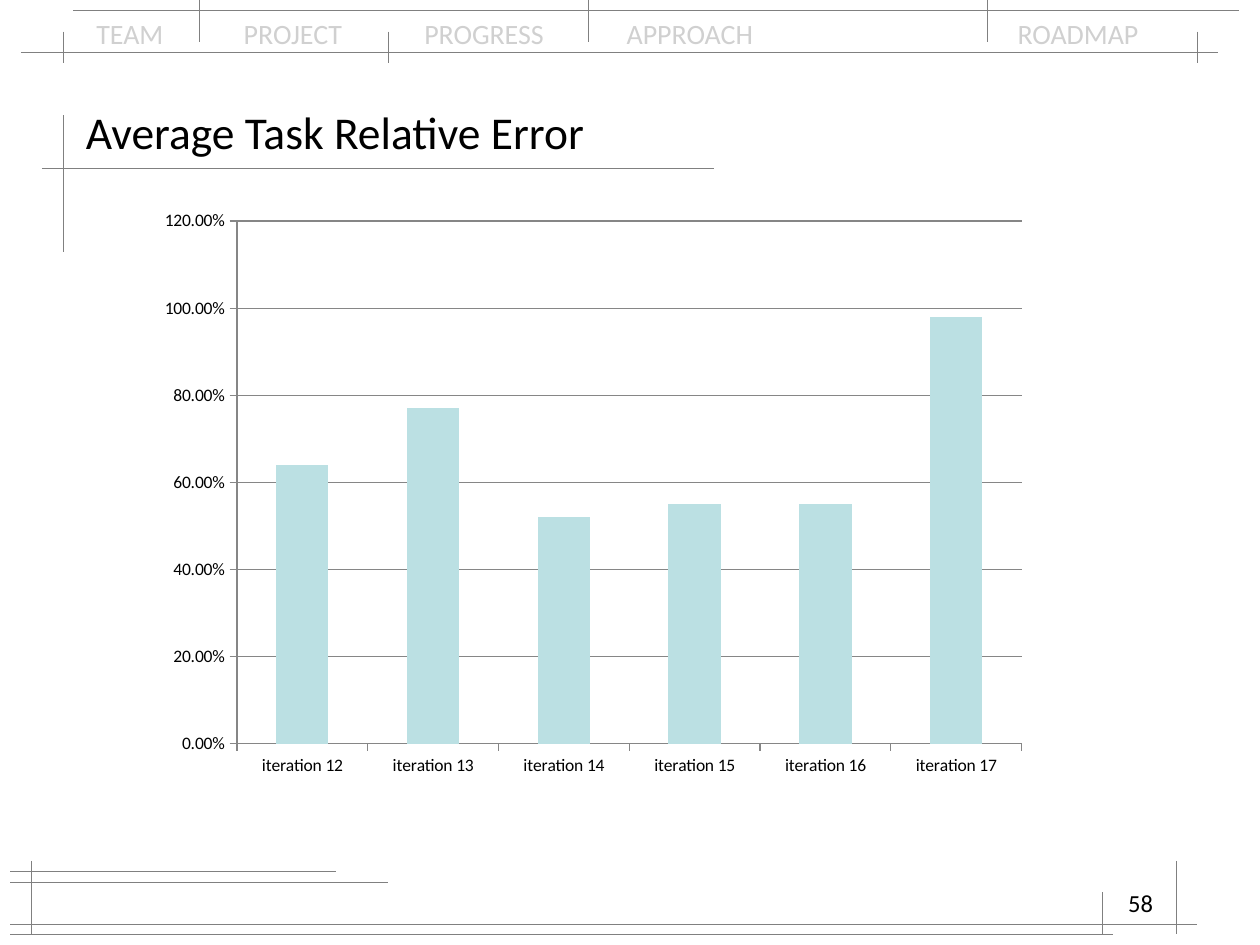
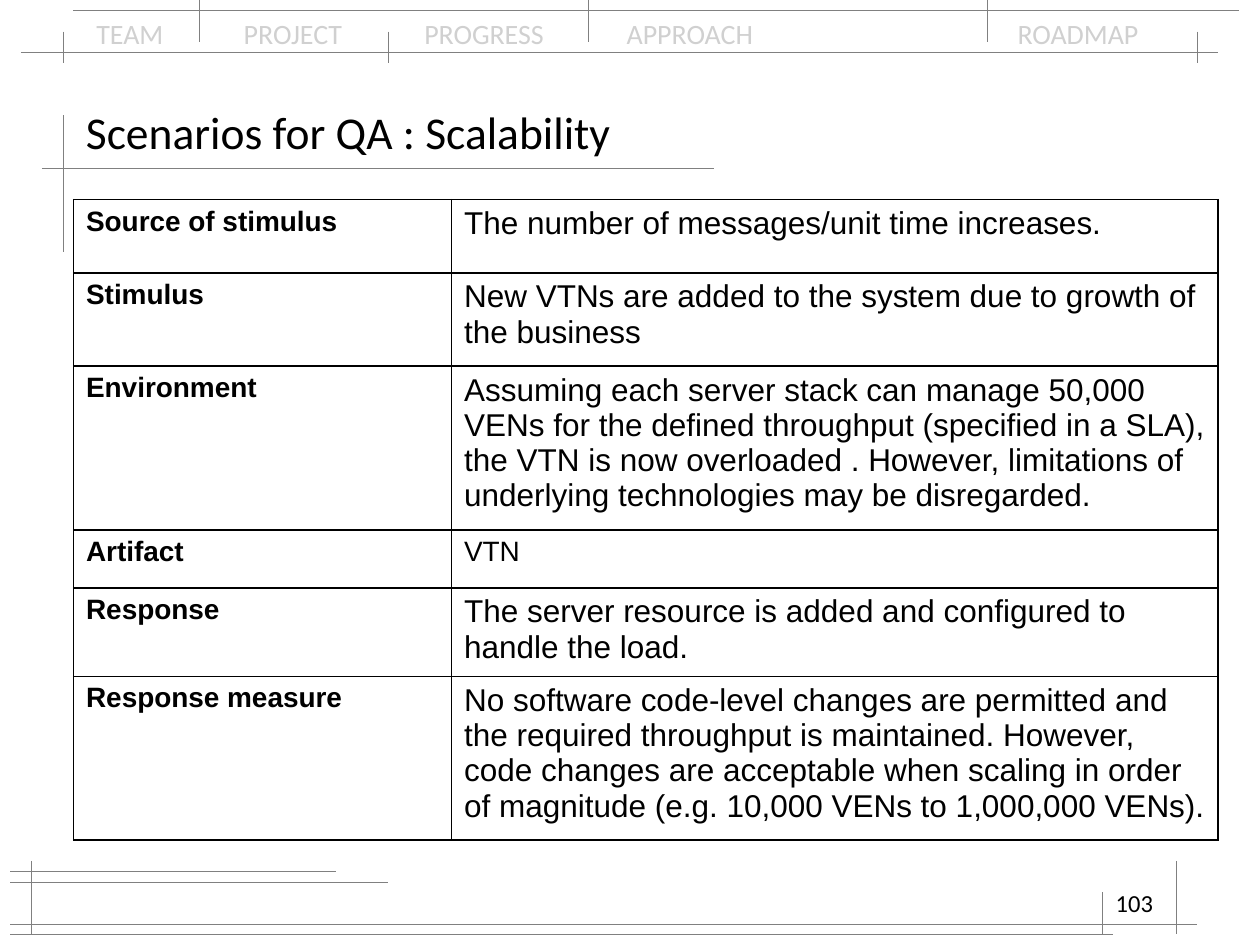
from dataclasses import dataclass

from lxml import etree
from pptx import Presentation
from pptx.chart.data import CategoryChartData
from pptx.dml.color import RGBColor
from pptx.enum.chart import XL_CHART_TYPE, XL_TICK_MARK
from pptx.enum.shapes import MSO_CONNECTOR
from pptx.enum.text import MSO_ANCHOR, PP_ALIGN
from pptx.oxml.ns import qn
from pptx.util import Cm, Pt

COLUMNS = XL_CHART_TYPE.COLUMN_CLUSTERED
TICK_OUTSIDE = XL_TICK_MARK.OUTSIDE
STRAIGHT = MSO_CONNECTOR.STRAIGHT
TOP, MIDDLE = MSO_ANCHOR.TOP, MSO_ANCHOR.MIDDLE
LEFT, RIGHT = PP_ALIGN.LEFT, PP_ALIGN.RIGHT


@dataclass(frozen=True)
class Theme:
    text: str = "000000"
    navigation: str = "D0D0D0"
    rule: str = "808080"
    grid: str = "868686"
    bar: str = "BBE0E3"
    font: str = "Calibri"
    table_font: str = "Arial"
    title_size: int = 26
    navigation_size: int = 16
    number_size: int = 14
    chart_size: int = 10
    label_size: int = 16
    body_size: int = 18
    rule_width: float = 0.3
    border_width: float = 1


THEME = Theme()

# Section names, with tab stops in cm for all but the first
SECTIONS = ["TEAM", "PROJECT", "PROGRESS", "APPROACH", "ROADMAP"]
SECTION_STOPS = [2.97, 6.61, 10.69, 18.57]

# Sketch rules in grid units: (y, from x, to x) and (x, from y, to y)
HORIZONTAL_RULES = [(5, 2, 116), (1, 7, 118), (16, 4, 68), (84, 1, 37),
                    (88, 1, 114), (83, 1, 32), (89, 1, 106)]
VERTICAL_RULES = [(6, 11, 24), (3, 82, 89), (112, 82, 89), (105, 85, 89),
                  (6, 3, 6), (37, 3, 6), (114, 3, 6),
                  (19, 0, 4), (56, 0, 4), (94, 0, 4)]

ERRORS = {"iteration 12": 0.64, "iteration 13": 0.77, "iteration 14": 0.52,
          "iteration 15": 0.55, "iteration 16": 0.55, "iteration 17": 0.98}

# Row height in cm, label, description, description size
SCENARIO = [
    (1.48, "Source of stimulus", "The number of messages/unit time increases.",
     THEME.body_size),
    (1.88, "Stimulus",
     "New VTNs are added to the system due to growth of the business",
     THEME.body_size),
    (3.3, "Environment",
     "Assuming each server stack can manage 50,000 VENs for the defined "
     "throughput (specified in a SLA), the VTN is now overloaded . However, "
     "limitations of underlying technologies may be disregarded.",
     THEME.body_size),
    (1.17, "Artifact", "VTN", THEME.label_size),
    (1.78, "Response",
     "The server resource is added and configured to handle the load.",
     THEME.body_size),
    (3.3, "Response measure",
     "No software code-level changes are permitted and the required "
     "throughput is maintained. However, code changes are acceptable when "
     "scaling in order of magnitude (e.g. 10,000 VENs to 1,000,000 VENs).",
     THEME.body_size),
]


def grid(*units):
    """Lengths on the layout grid of twelve units to 2.54 cm."""
    return [Cm(unit * 2.54 / 12) for unit in units]


def color(value):
    return RGBColor.from_string(value)


def style_font(font, size, name=THEME.font, shade=THEME.text, bold=False):
    font.size, font.name, font.bold = Pt(size), name, bold
    font.color.rgb = color(shade)


def add_text(page, area, text, size, shade=THEME.text, align=LEFT, anchor=TOP):
    frame = page.shapes.add_textbox(*grid(*area)).text_frame
    frame.word_wrap = True
    frame.vertical_anchor = anchor
    para = frame.paragraphs[0]
    para.text = text
    para.alignment = align
    for span in para.runs:
        style_font(span.font, size, shade=shade)
    return para


def add_rule(page, *ends):
    rule = page.shapes.add_connector(STRAIGHT, *grid(*ends))
    rule.line.color.rgb = color(THEME.rule)
    rule.line.width = Pt(THEME.rule_width)
    etree.SubElement(rule._element.spPr, qn("a:effectLst"))


def add_navigation(page):
    para = add_text(page, (8, 1, 104, 4.5), "\t".join(SECTIONS),
                    THEME.navigation_size, THEME.navigation)
    tabs = etree.SubElement(para._p.get_or_add_pPr(), qn("a:tabLst"))
    for stop in SECTION_STOPS:
        etree.SubElement(tabs, qn("a:tab"), pos=str(Cm(stop)), algn="l")


def add_page(deck, title, number):
    page = deck.slides.add_slide(deck.slide_layouts[6])
    add_navigation(page)
    for y, start, end in HORIZONTAL_RULES:
        add_rule(page, start, y, end, y)
    for x, start, end in VERTICAL_RULES:
        add_rule(page, x, start, x, end)
    add_text(page, (7, 9, 106, 7), title, THEME.title_size, anchor=MIDDLE)
    add_text(page, (86, 84, 25, 6), number, THEME.number_size, align=RIGHT)
    return page


def add_error_chart(page):
    data = CategoryChartData(number_format="0.00%")
    data.categories = list(ERRORS)
    data.add_series("Series 1", list(ERRORS.values()))
    chart = page.shapes.add_chart(COLUMNS, *grid(14, 19, 85, 56), data).chart
    chart.has_legend = chart.has_title = False
    style_font(chart.font, THEME.chart_size)

    # Bars
    plot = chart.plots[0]
    plot.gap_width = 150
    plot.vary_by_categories = False
    bars = plot.series[0]
    bars.format.fill.solid()
    bars.format.fill.fore_color.rgb = color(THEME.bar)

    # Axes
    scale = chart.value_axis
    scale.minimum_scale, scale.maximum_scale, scale.major_unit = 0, 1.2, 0.2
    scale.has_major_gridlines = True
    scale.tick_labels.number_format = "0.00%"
    scale.tick_labels.number_format_is_linked = False
    for axis in (scale, chart.category_axis):
        axis.major_tick_mark = TICK_OUTSIDE
    for part in (scale, chart.category_axis, scale.major_gridlines):
        part.format.line.color.rgb = color(THEME.grid)
        part.format.line.width = Pt(0.75)


def add_borders(cell):
    properties = cell._tc.get_or_add_tcPr()
    for position, side in enumerate(("lnL", "lnR", "lnT", "lnB")):
        border = etree.Element(qn(f"a:{side}"), w=str(Pt(THEME.border_width)))
        fill = etree.SubElement(border, qn("a:solidFill"))
        etree.SubElement(fill, qn("a:srgbClr"), val=THEME.text)
        properties.insert(position, border)


def fill_cell(cell, text, size, bold):
    cell.text_frame.text = text
    cell.fill.background()
    for span in cell.text_frame.paragraphs[0].runs:
        style_font(span.font, size, THEME.table_font, bold=bold)
    add_borders(cell)


def add_scenario_table(page):
    table = page.shapes.add_table(len(SCENARIO), 2, *grid(7, 19, 109, 61)).table
    table.first_row = table.horz_banding = False
    for column, width in zip(table.columns, grid(36, 73)):
        column.width = width
    for index, (height, label, description, size) in enumerate(SCENARIO):
        table.rows[index].height = Cm(height)
        fill_cell(table.cell(index, 0), label, THEME.label_size, True)
        fill_cell(table.cell(index, 1), description, size, False)


def main():
    deck = Presentation()
    deck.slide_width, deck.slide_height = Cm(25.4), Cm(19.05)
    add_error_chart(add_page(deck, "Average Task Relative Error", "58"))
    add_scenario_table(add_page(deck, "Scenarios for QA : Scalability", "103"))
    deck.save("out.pptx")


if __name__ == "__main__":
    main()
